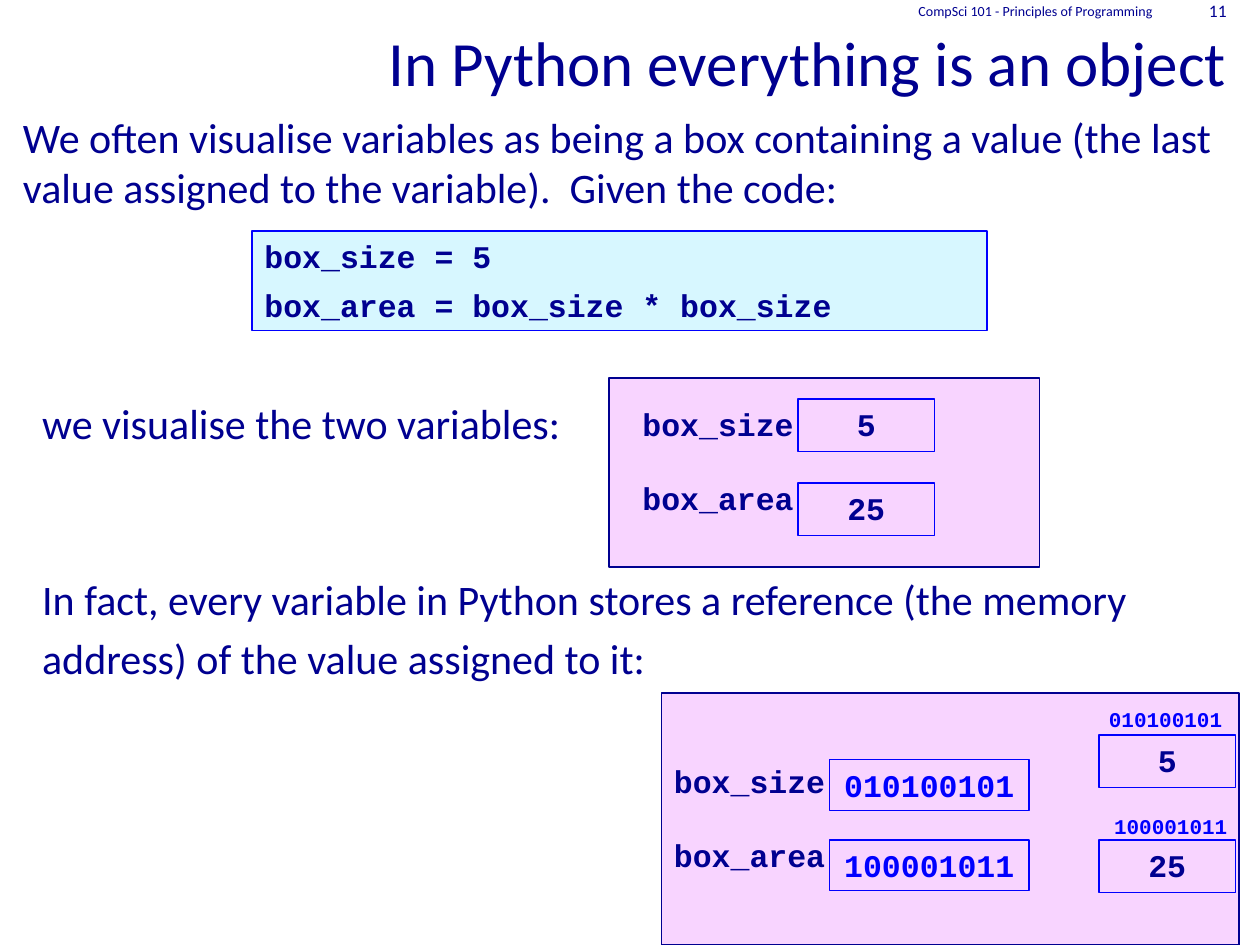
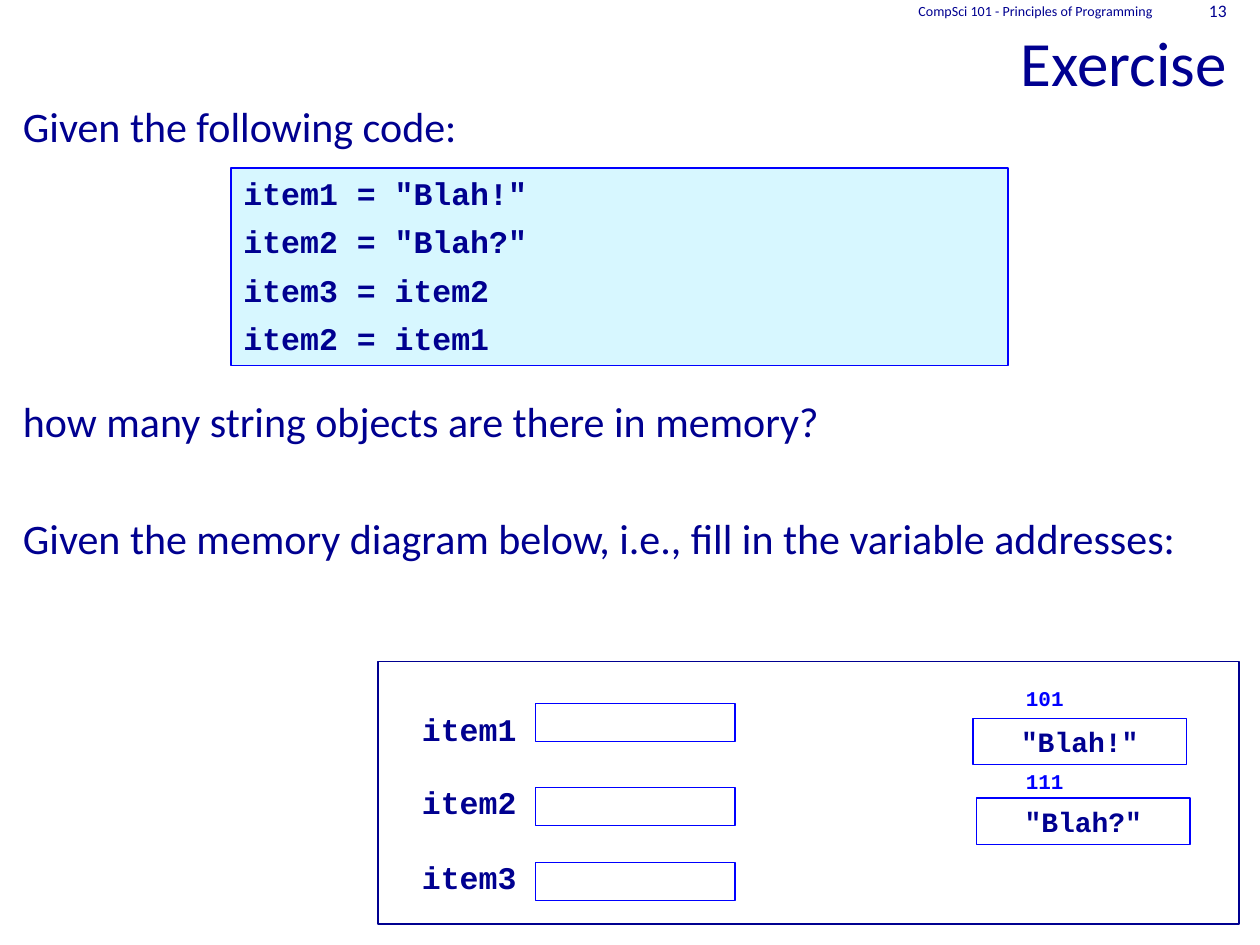
from dataclasses import dataclass

from pptx import Presentation
from pptx.dml.color import RGBColor
from pptx.enum.shapes import MSO_SHAPE as Preset
from pptx.enum.text import MSO_ANCHOR as Anchor, PP_ALIGN as Align
from pptx.util import Pt

# Content: body lines are (text, blank lines skipped above, left indent)
COURSE = "CompSci 101 - Principles of Programming"

# A diagram has a panel, variables (name, stored text), and objects (address, value).
# Boxes are (left, top, width, height); *_tops list one top per row.
SLIDES = [
    {
        "title": "In Python everything is an object",
        "number": "11",
        "body_top": 60,
        "body": [
            ("We often visualise variables as being a box containing a value "
             "(the last value assigned to the variable).  Given the code:", 0, 0),
            ("we visualise the two variables:", 3, 11),
            ("In fact, every variable in Python stores a reference (the memory", 2, 11),
            ("address) of the value assigned to it:", 0, 11),
        ],
        "code": ["box_size = 5", "box_area = box_size * box_size"],
        "code_box": (144, 132, 420, 57),
        "diagrams": [
            {
                "panel": (348, 216, 246, 108), "filled": True,
                "variables": [("box_size", "5"), ("box_area", "25")],
                "label_left": 360, "label_tops": [228, 270],
                "slot_left": 456, "slot_tops": [228, 276],
                "slot_size": (78, 30), "slot_color": "text",
            },
            {
                "panel": (378, 396, 330, 144), "filled": True,
                "variables": [("box_size", "010100101"), ("box_area", "100001011")],
                "label_left": 378, "label_tops": [432, 474],
                "slot_left": 474, "slot_tops": [434, 480],
                "slot_size": (114, 29), "slot_color": "accent",
                "objects": [
                    ("010100101", (618, 400, 96, 22), "5", (628, 420, 78, 30)),
                    ("100001011", (618, 461.5, 102, 22), "25", (628, 480, 78, 30)),
                ],
                "value_size": 18,
            },
        ],
    },
    {
        "title": "Exercise",
        "number": "13",
        "body_top": 54,
        "body": [
            ("Given the following code:", 0, 0),
            ("how many string objects are there in memory?", 4, 0),
            ("Given the memory diagram below, i.e., fill in the variable addresses:", 1, 0),
        ],
        "code": ['item1 = "Blah!"', 'item2 = "Blah?"', "item3 = item2", "item2 = item1"],
        "code_box": (132, 96, 444, 113),
        "diagrams": [
            {
                "panel": (216, 378, 492, 150), "filled": False,
                "variables": [("item1", ""), ("item2", ""), ("item3", "")],
                "label_left": 234, "label_tops": [402, 444, 487],
                "slot_left": 306, "slot_tops": [402, 450, 493],
                "slot_size": (114, 21.6), "slot_color": "accent",
                "objects": [
                    ("101", (549, 388, 96, 22), '"Blah!"', (556, 410.5, 122, 26.6)),
                    ("111", (546, 435.6, 102, 22), '"Blah?"', (558, 456, 122, 26.6)),
                ],
                "value_size": 16,
            },
        ],
    },
]


@dataclass(frozen=True)
class Theme:
    text: str = "000090"
    accent: str = "0000FF"
    code_fill: str = "D7F7FF"
    panel_fill: str = "F8D4FF"
    prose_font: str = "Calibri"
    code_font: str = "Courier New"
    title_size: int = 36
    body_size: int = 24
    code_size: int = 18
    address_size: int = 12
    number_size: int = 10
    course_size: int = 8
    line_width: float = 0.75
    body_pitch: float = 33.8
    body_gap: float = 4.5
    code_gap: float = 6


THEME = Theme()


def write(shape, text, *, size, font=THEME.prose_font, color=THEME.text, bold=False,
          align=Align.LEFT, anchor=Anchor.TOP, gaps=(), indents=()):
    """Put text, a string or a list of lines, into a shape."""
    frame = shape.text_frame
    frame.word_wrap = True
    frame.vertical_anchor = anchor
    frame.margin_left = frame.margin_right = Pt(7.2)
    frame.margin_top = frame.margin_bottom = Pt(3.6)
    lines = [text] if isinstance(text, str) else text
    for index, line in enumerate(lines):
        paragraph = frame.add_paragraph() if index else frame.paragraphs[0]
        paragraph.alignment = align
        if index and gaps:
            paragraph.space_before = Pt(gaps[index])
        if indents and indents[index]:
            paragraph._p.get_or_add_pPr().set("marL", str(Pt(indents[index])))
        run = paragraph.add_run()
        run.text = line
        run.font.name, run.font.size, run.font.bold = font, Pt(size), bold
        run.font.color.rgb = RGBColor.from_string(color)


def write_code(shape, text, **formats):
    formats = {"size": THEME.code_size, **formats}
    write(shape, text, font=THEME.code_font, bold=True, **formats)


def add_text_box(slide, box):
    return slide.shapes.add_textbox(*map(Pt, box))


def add_box(slide, box, line=THEME.accent, fill=None):
    shape = slide.shapes.add_shape(Preset.RECTANGLE, *map(Pt, box))
    shape.shadow.inherit = False
    if fill:
        shape.fill.solid()
        shape.fill.fore_color.rgb = RGBColor.from_string(fill)
    else:
        shape.fill.background()
    shape.line.color.rgb = RGBColor.from_string(line)
    shape.line.width = Pt(THEME.line_width)
    return shape


def add_frame(slide, content):
    """Title, course name, slide number and body text."""
    write(add_text_box(slide, (0, 0, 708, 60)), content["title"],
          size=THEME.title_size, align=Align.RIGHT, anchor=Anchor.BOTTOM)
    for text, left, width, size in [(COURSE, 450, 216, THEME.course_size),
                                    (content["number"], 666, 42, THEME.number_size)]:
        write(add_text_box(slide, (left, 0, width, 12)), text,
              size=size, align=Align.RIGHT, anchor=Anchor.MIDDLE)
    lines, skips, indents = zip(*content["body"])
    gaps = [skip * THEME.body_pitch + THEME.body_gap for skip in skips]
    write(add_text_box(slide, (6, content["body_top"], 702, 462)), lines,
          size=THEME.body_size, gaps=gaps, indents=indents)


def add_diagram(slide, diagram):
    add_box(slide, diagram["panel"], line=THEME.text,
            fill=THEME.panel_fill if diagram["filled"] else None)
    # Variables and their slots
    rows = zip(diagram["variables"], diagram["label_tops"], diagram["slot_tops"])
    for (name, stored), label_top, slot_top in rows:
        write_code(add_text_box(slide, (diagram["label_left"], label_top, 120, 30)), name)
        slot = add_box(slide, (diagram["slot_left"], slot_top, *diagram["slot_size"]))
        if stored:
            write_code(slot, stored, align=Align.CENTER,
                       color=getattr(THEME, diagram["slot_color"]))
    # Objects in memory with their addresses
    for address, address_box, value, value_box in diagram.get("objects", []):
        write_code(add_box(slide, value_box), value,
                   size=diagram["value_size"], align=Align.CENTER)
        write_code(add_text_box(slide, address_box), address, size=THEME.address_size,
                   color=THEME.accent, align=Align.CENTER)


def main():
    presentation = Presentation()
    presentation.slide_width, presentation.slide_height = Pt(720), Pt(540)
    for content in SLIDES:
        slide = presentation.slides.add_slide(presentation.slide_layouts[6])
        add_frame(slide, content)
        code = content["code"]
        write_code(add_box(slide, content["code_box"], fill=THEME.code_fill),
                   code, gaps=[THEME.code_gap] * len(code))
        for diagram in content["diagrams"]:
            add_diagram(slide, diagram)
    presentation.save("out.pptx")


if __name__ == "__main__":
    main()
